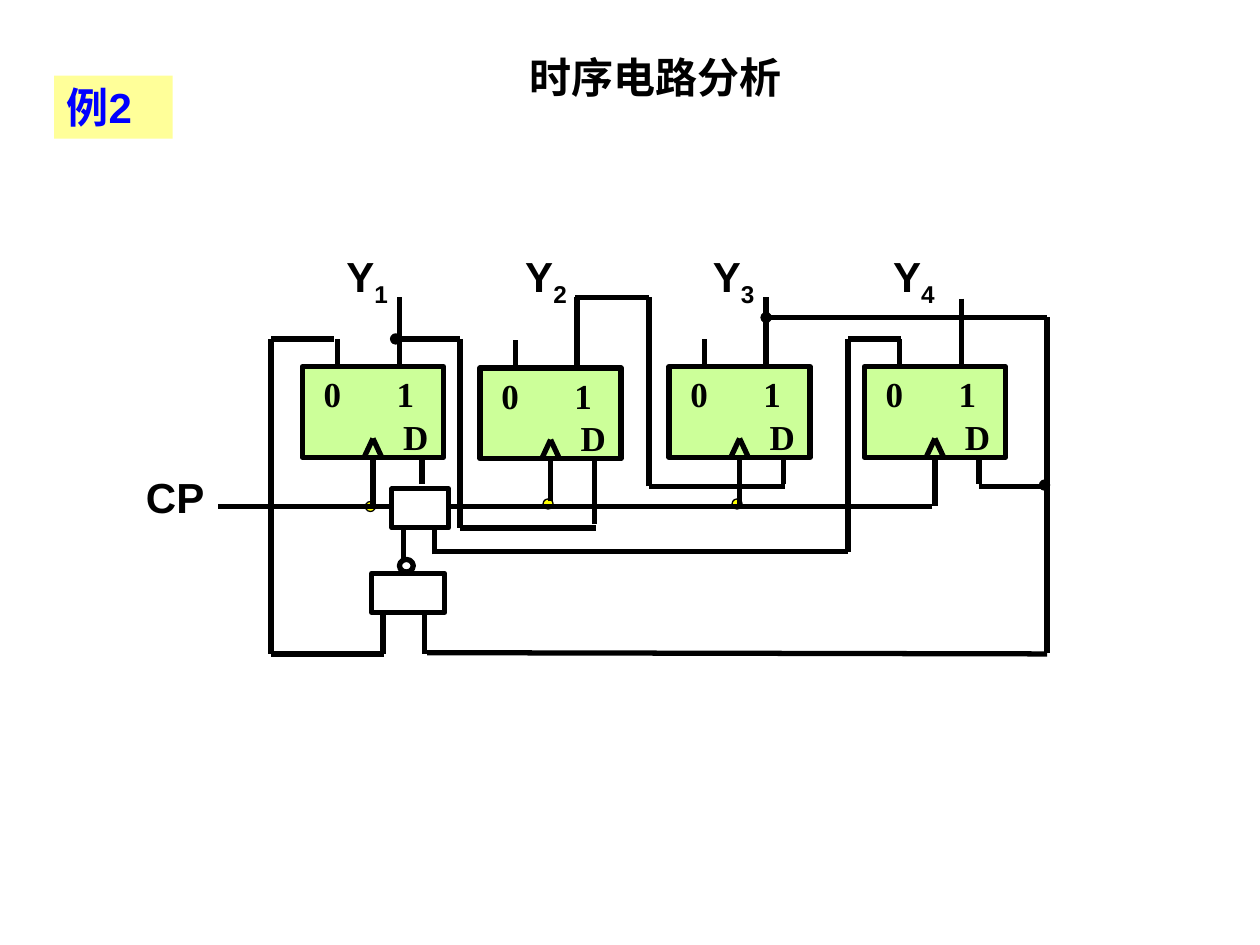
from itertools import pairwise
from typing import NamedTuple

from pptx import Presentation
from pptx.dml.color import RGBColor
from pptx.enum.shapes import MSO_CONNECTOR as Connector, MSO_SHAPE as Shape
from pptx.enum.text import MSO_ANCHOR as Anchor, PP_ALIGN as Align
from pptx.oxml.ns import qn
from pptx.util import Inches, Pt

BLACK = RGBColor(0x00, 0x00, 0x00)
WHITE = RGBColor(0xFF, 0xFF, 0xFF)
BLUE = RGBColor(0x00, 0x00, 0xFF)
YELLOW = RGBColor(0xFF, 0xFF, 0x00)
PALE_YELLOW = RGBColor(0xFF, 0xFF, 0x99)
GREEN = RGBColor(0xCC, 0xFF, 0x99)

HEADING = {"name": "Arial", "size": Pt(24), "bold": True}
PIN = {"name": "Times New Roman", "size": Pt(20), "bold": True}
DOT = 0.08


class Box(NamedTuple):
    left: float
    top: float
    width: float
    height: float


class FlipFlop(NamedTuple):
    left: float
    top: float
    data_offset: float
    data_end: float
    clock_end: float


class Output(NamedTuple):
    index: str
    left: float
    width: float


FLIP_FLOPS = [
    FlipFlop(2.40, 2.91, 0.95, 3.84, 4.00),
    FlipFlop(3.81, 2.92, 0.91, 4.16, 3.98),
    FlipFlop(5.31, 2.91, 0.91, 3.84, 4.02),
    FlipFlop(6.86, 2.91, 0.91, 3.84, 3.84),
]
OUTPUTS = [
    Output("1", 2.65, 0.58),
    Output("2", 4.07, 0.65),
    Output("3", 5.56, 0.65),
    Output("4", 6.99, 0.65),
]
CLOCK_DOTS = [(2.90, 3.98), (4.31, 3.96), (5.81, 3.96)]
JUNCTIONS = [(3.10, 2.65), (8.25, 3.81), (6.04, 2.48)]

# Each route is a chain of corner points
ROUTES = [
    # Output leads
    [(3.17, 2.69), (3.17, 2.36)],
    [(4.58, 2.77), (4.58, 2.36)],
    [(6.08, 2.36), (6.08, 2.69)],
    [(7.63, 2.37), (7.63, 2.69)],
    # Clock line
    [(7.40, 4.02), (1.73, 4.02)],
    [(7.42, 3.77), (7.42, 4.02)],
    # First stage to second, second stage to third
    [(3.15, 2.69), (3.65, 2.69), (3.65, 4.19), (4.73, 4.19)],
    [(6.23, 3.86), (5.15, 3.86), (5.15, 2.36), (4.56, 2.36)],
    # Third stage to fourth and to the lower gate
    [(6.06, 2.52), (8.31, 2.52), (8.31, 5.18)],
    [(7.77, 3.86), (8.30, 3.86)],
    [(3.37, 4.86), (3.37, 5.19)],
    [(3.39, 5.18), (8.31, 5.19)],
    # Feedback from the inverted outputs
    [(2.65, 2.69), (2.15, 2.69), (2.15, 5.19), (3.05, 5.19)],
    [(3.04, 5.19), (3.04, 4.86)],
    [(7.15, 2.69), (6.73, 2.69), (6.73, 4.38), (3.43, 4.38)],
    [(3.45, 4.40), (3.45, 4.19)],
    [(3.20, 4.18), (3.20, 4.44)],
]


def add_span(para, text: str, style: dict, color: RGBColor):
    span = para.add_run()
    span.text = text
    for name, value in style.items():
        setattr(span.font, name, value)
    span.font.color.rgb = color
    return span


def add_label(slide, box: Box, text: str, style: dict, color=BLACK,
              align=Align.LEFT, subscript: str = "", fill=None) -> None:
    label = slide.shapes.add_textbox(*map(Inches, box))
    if fill is not None:
        label.fill.solid()
        label.fill.fore_color.rgb = fill
    frame = label.text_frame
    frame.word_wrap = True
    frame.vertical_anchor = Anchor.TOP
    para = frame.paragraphs[0]
    para.alignment = align
    add_span(para, text, style, color)
    if subscript:
        span = add_span(para, subscript, style, color)
        span.font._element.set("baseline", "-25000")


def add_block(slide, kind: Shape, box: Box, fill=None, width: float = 3) -> None:
    block = slide.shapes.add_shape(kind, *map(Inches, box))
    block.shadow.inherit = False
    if fill is None:
        block.fill.background()
    else:
        block.fill.solid()
        block.fill.fore_color.rgb = fill
    block.line.color.rgb = BLACK
    block.line.width = Pt(width)


def add_dots(slide, corners: list, fill: RGBColor) -> None:
    for left, top in corners:
        add_block(slide, Shape.OVAL, Box(left, top, DOT, DOT), fill, 0.75)


def add_route(slide, points: list) -> None:
    for start, end in pairwise(points):
        wire = slide.shapes.add_connector(
            Connector.STRAIGHT, *map(Inches, (*start, *end)))
        wire.line.color.rgb = BLACK
        wire.line.width = Pt(3)
        properties = wire._element.spPr
        properties.append(properties.makeelement(qn("a:effectLst"), {}))


def add_flip_flop(slide, unit: FlipFlop) -> None:
    left, top = unit.left, unit.top
    bottom = top + 0.72
    clock, data = left + 0.56, left + unit.data_offset
    add_block(slide, Shape.RECTANGLE, Box(left, top, 1.12, 0.72), GREEN)
    add_label(slide, Box(left + 0.07, top, 0.49, 0.43), "0", PIN)
    add_label(slide, Box(left + 0.65, top, 0.42, 0.43), "1", PIN)
    add_label(slide, Box(left + 0.70, top + 0.34, 0.42, 0.43), "D", PIN)
    for x in (left + 0.28, left + 0.77):
        add_route(slide, [(x, top), (x, top - 0.22)])
    add_route(slide, [(data, unit.data_end), (data, bottom)])
    add_route(slide, [(clock, unit.clock_end), (clock, bottom)])
    for x in (clock - 0.07, clock + 0.07):
        add_route(slide, [(clock, top + 0.57), (x, bottom)])


def main() -> None:
    deck = Presentation()
    deck.slide_width, deck.slide_height = Inches(10), Inches(7.5)
    slide = deck.slides.add_slide(deck.slide_layouts[6])

    # Headings
    add_label(slide, Box(1.93, 0.36, 6.54, 0.5), "时序电路分析", HEADING,
              align=Align.CENTER)
    add_label(slide, Box(0.43, 0.6, 0.94, 0.5), "例2", HEADING, BLUE,
              fill=PALE_YELLOW)

    # Signal names
    add_label(slide, Box(1.06, 3.69, 0.75, 0.5), "CP", HEADING)
    for output in OUTPUTS:
        add_label(slide, Box(output.left, 1.94, output.width, 0.5), "Y",
                  HEADING, subscript=output.index)

    # Flip-flops and wiring
    add_dots(slide, CLOCK_DOTS, YELLOW)
    for unit in FLIP_FLOPS:
        add_flip_flop(slide, unit)
    for points in ROUTES:
        add_route(slide, points)
    add_dots(slide, JUNCTIONS, BLACK)

    # Gates
    add_block(slide, Shape.RECTANGLE, Box(2.95, 4.55, 0.58, 0.31))
    add_block(slide, Shape.OVAL, Box(3.17, 4.44, 0.11, 0.1))
    add_block(slide, Shape.RECTANGLE, Box(3.11, 3.88, 0.45, 0.31), WHITE)

    deck.save("out.pptx")


if __name__ == "__main__":
    main()
